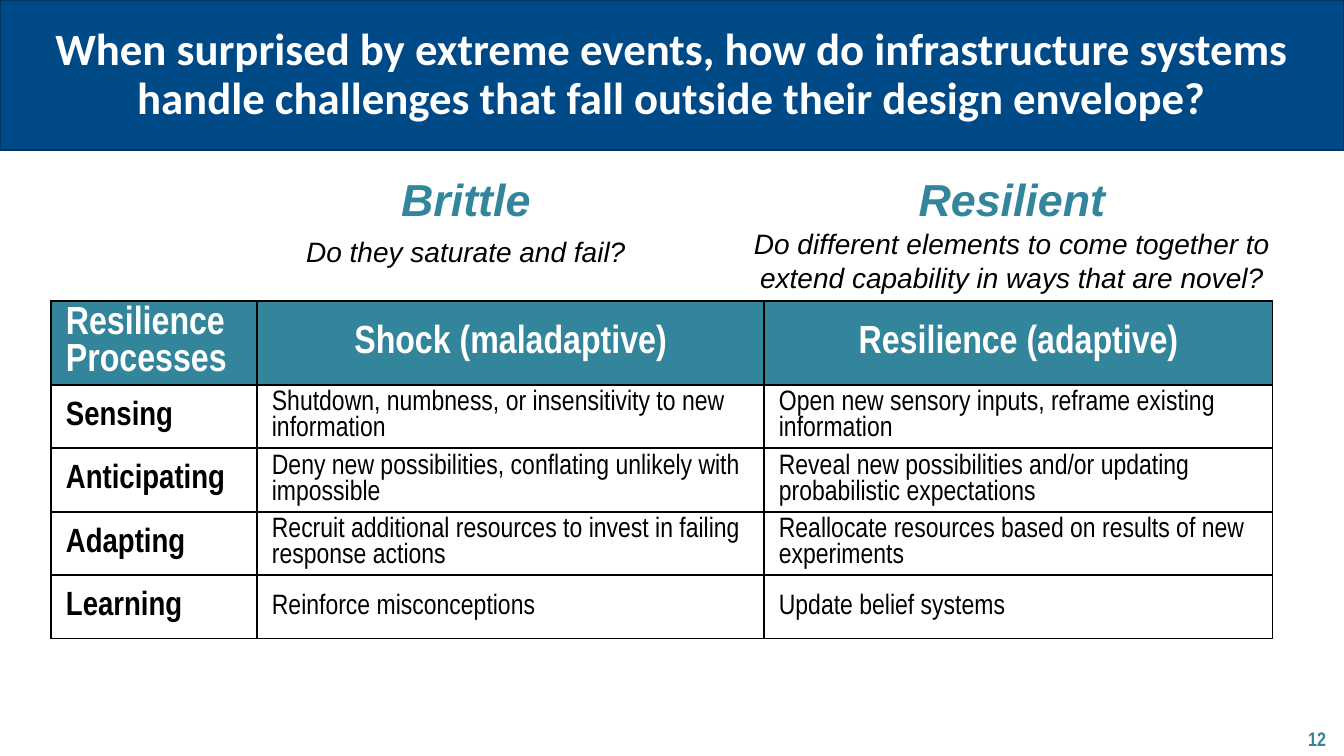
import pptx
import pptx.util
import pptx.dml.color
import pptx.enum.shapes
import pptx.enum.text
import lxml.etree

TITLE = ("When surprised by extreme events, how do infrastructure systems "
         "handle challenges that fall outside their design envelope?")
PROCESSES = [
    ("Resilience Processes", "Shock (maladaptive)", "Resilience (adaptive)"),
    ("Sensing", "Shutdown, numbness, or insensitivity to new information",
     "Open new sensory inputs, reframe existing information"),
    ("Anticipating", "Deny new possibilities, conflating unlikely with impossible",
     "Reveal new possibilities and/or updating probabilistic expectations"),
    ("Adapting", "Recruit additional resources to invest in failing response actions",
     "Reallocate resources based on results of new experiments"),
    ("Learning", "Reinforce misconceptions", "Update belief systems"),
]
COLORS = {"navy": "004987", "edge": "003664", "teal": "33859B",
          "white": "FFFFFF", "black": "000000"}
FORMATS = {
    "title": dict(name="Calibri", size=32, bold=True, italic=False, color="white"),
    "heading": dict(name="Arial", size=32, bold=True, italic=True, color="teal"),
    "question": dict(name="Arial", size=20, bold=False, italic=True, color="black"),
    "number": dict(name="Arial Narrow", size=14, bold=True, italic=False, color="teal"),
    "header": dict(name="Arial Narrow", size=28, bold=True, italic=False, color="white"),
    "process": dict(name="Arial Narrow", size=24, bold=True, italic=False, color="black"),
    "body": dict(name="Arial Narrow", size=20, bold=False, italic=False, color="black"),
}
ALIGN = pptx.enum.text.PP_ALIGN
ANCHOR = pptx.enum.text.MSO_ANCHOR
LABELS = [
    ("Brittle", "heading", (228, 167, 476, 58), ALIGN.CENTER, ANCHOR.TOP),
    ("Resilient", "heading", (774, 167, 476, 58), ALIGN.CENTER, ANCHOR.TOP),
    ("Do they saturate and fail?", "question", (228, 230, 476, 58), ALIGN.CENTER, ANCHOR.TOP),
    ("Do different elements to come together to extend capability in ways that are novel?",
     "question", (742, 222, 540, 88), ALIGN.CENTER, ANCHOR.TOP),
    ("12", "number", (1101, 721, 235, 35), ALIGN.RIGHT, ANCHOR.MIDDLE),
]
TABLE_LEFT, TABLE_TOP = 51, 301
COLUMNS = [206, 507, 509]
ROWS = [84, 63, 64, 63, 64]
CELL_MARGINS = dict(margin_left=15, margin_right=15, margin_top=5, margin_bottom=5)
SCALE = 914400 / 100.8


def px(value):
    return pptx.util.Emu(round(value * SCALE))


def rgb(color):
    return pptx.dml.color.RGBColor.from_string(COLORS[color])


def write(frame, text, style, alignment):
    frame.word_wrap = True
    paragraph = frame.paragraphs[0]
    paragraph.alignment = alignment
    paragraph.space_before = pptx.util.Pt(0)
    run = paragraph.add_run()
    run.text = text
    for key, value in FORMATS[style].items():
        if key == "color":
            run.font.color.rgb = rgb(value)
        else:
            setattr(run.font, key, pptx.util.Pt(value) if key == "size" else value)
    return paragraph


def add_borders(cell):
    properties = cell._tc.get_or_add_tcPr()
    for index, side in enumerate("LRTB"):
        border = pptx.oxml.parse_xml(
            f'<a:ln{side} xmlns:a="http://schemas.openxmlformats.org/drawingml/2006/main" '
            f'w="12700"><a:solidFill><a:srgbClr val="{COLORS["black"]}"/></a:solidFill></a:ln{side}>')
        properties.insert(index, border)


def add_title(slide):
    title = slide.shapes.title
    band = slide.shapes.add_shape(pptx.enum.shapes.MSO_SHAPE.RECTANGLE, 0, 0, px(1344), px(150))
    band.shadow.inherit = False
    band.fill.solid()
    band.fill.fore_color.rgb = rgb("navy")
    band.line.color.rgb = rgb("edge")
    band.line.width = pptx.util.Pt(1)
    title._element.addprevious(band._element)
    title.left, title.top, title.width, title.height = map(px, (0, 2, 1344, 147))
    title.text_frame.auto_size = pptx.enum.text.MSO_AUTO_SIZE.NONE
    title.text_frame.vertical_anchor = ANCHOR.MIDDLE
    paragraph = write(title.text_frame, TITLE, "title", ALIGN.CENTER)
    paragraph.line_spacing = 0.9


def add_process_table(slide):
    table = slide.shapes.add_table(
        len(ROWS), len(COLUMNS), px(TABLE_LEFT), px(TABLE_TOP),
        px(sum(COLUMNS)), px(sum(ROWS))).table
    for column, width in zip(table.columns, COLUMNS):
        column.width = px(width)
    for row_index, (row, height) in enumerate(zip(table.rows, ROWS)):
        row.height = px(height)
        for column_index, cell in enumerate(row.cells):
            if row_index == 0:
                style = "header"
                cell.fill.solid()
                cell.fill.fore_color.rgb = rgb("teal")
            else:
                style = "body" if column_index else "process"
                cell.fill.background()
            for key, value in CELL_MARGINS.items():
                setattr(cell, key, px(value))
            cell.vertical_anchor = ANCHOR.MIDDLE
            centred = row_index == 0 and column_index > 0
            write(cell.text_frame, PROCESSES[row_index][column_index], style,
                  ALIGN.CENTER if centred else ALIGN.LEFT)
            add_borders(cell)


def main():
    presentation = pptx.Presentation()
    presentation.slide_width = px(1344)
    presentation.slide_height = px(756)
    slide = presentation.slides.add_slide(presentation.slide_layouts[5])
    add_title(slide)
    add_process_table(slide)
    for text, style, box, alignment, anchor in LABELS:
        label = slide.shapes.add_textbox(*map(px, box))
        label.text_frame.vertical_anchor = anchor
        write(label.text_frame, text, style, alignment)
    presentation.save("out.pptx")


if __name__ == "__main__":
    main()
